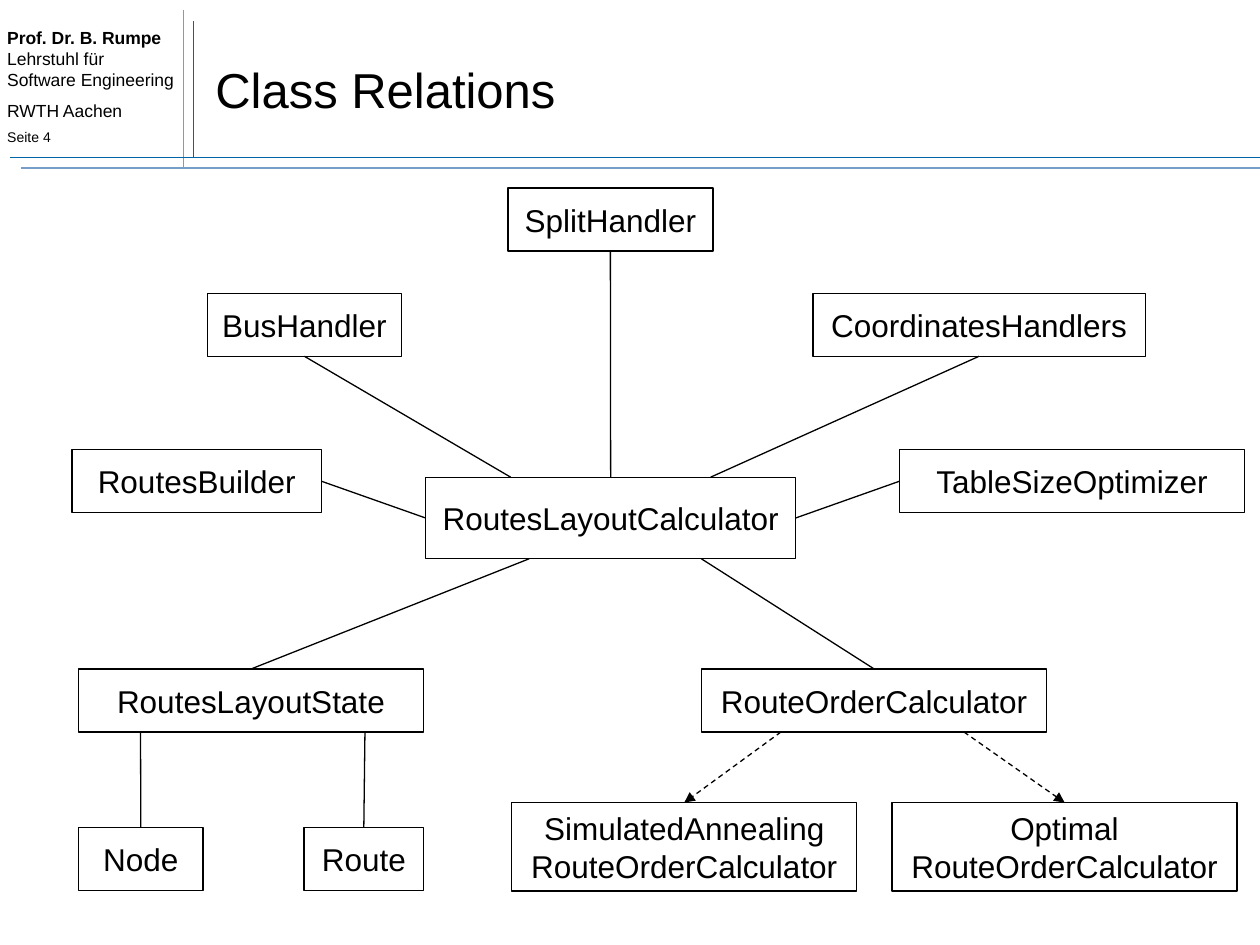
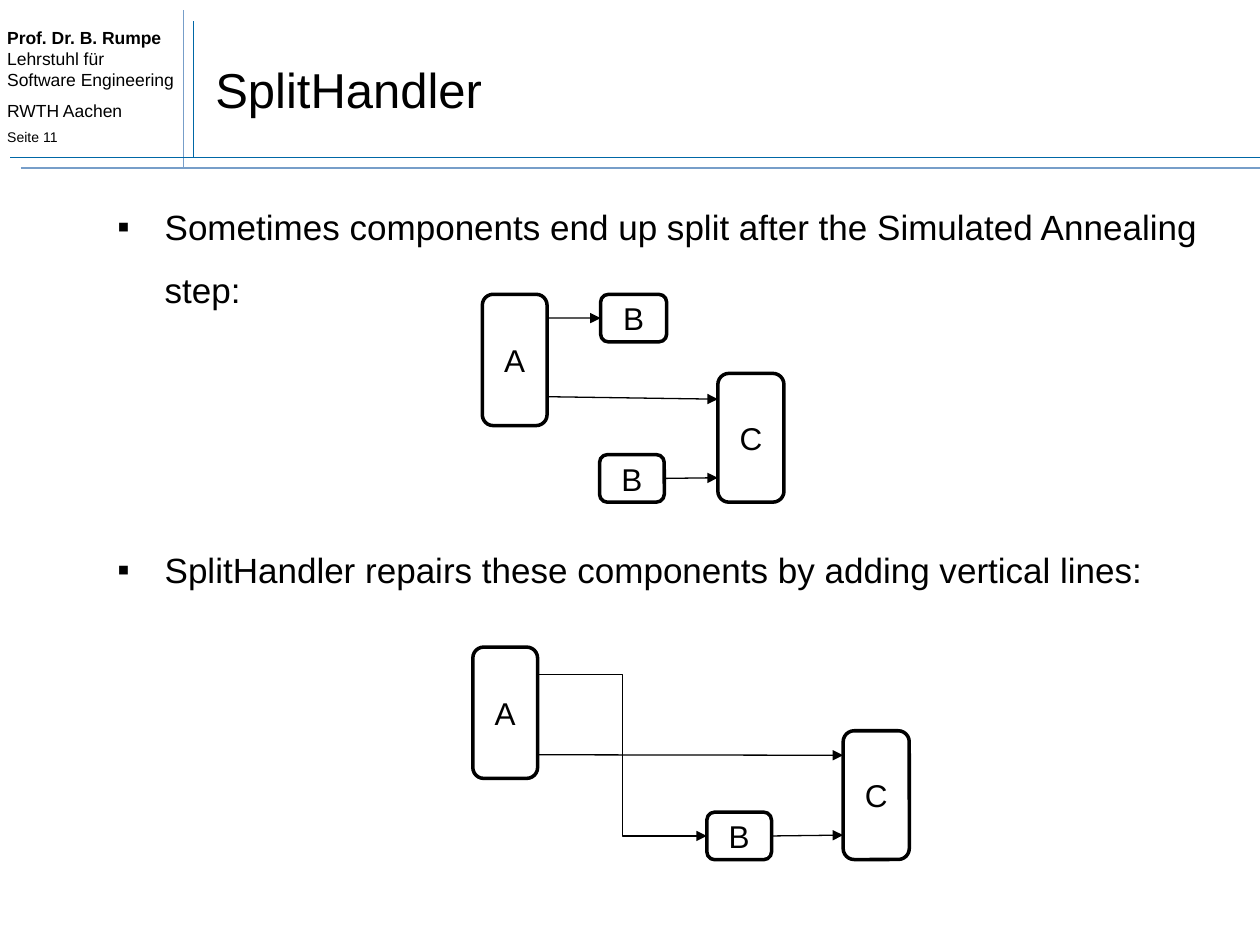
from dataclasses import dataclass

from lxml.etree import SubElement
from pptx import Presentation
from pptx.dml.color import RGBColor
from pptx.enum.dml import MSO_LINE as DASH
from pptx.enum.shapes import MSO_CONNECTOR as CONN, MSO_SHAPE as SHAPE
from pptx.enum.text import MSO_ANCHOR as ANCHOR, PP_ALIGN as ALIGN
from pptx.oxml.ns import qn
from pptx.util import Pt


@dataclass(frozen=True)
class Theme:
    font: str = "Arial"
    ink: str = "000000"
    paper: str = "FFFFFF"
    rule_dark: str = "0067A6"
    rule_light: str = "779EC9"
    title: int = 28
    body: int = 20
    label: int = 18
    sender: int = 10
    page: int = 8
    thin: float = 0.75
    rule: float = 1
    thick: float = 2


class Deck:
    def __init__(self, theme):
        self.t = theme
        self.prs = Presentation()
        self.prs.slide_width, self.prs.slide_height = Pt(720), Pt(540)
        self.s = None

    def slide(self, title, page):
        self.s = self.prs.slides.add_slide(self.prs.slide_layouts[6])
        self.sender(page)
        t = self.t
        for color, start, end in (
            (t.rule_dark, (110.6, 90), (110.6, 12)),
            (t.rule_light, (104.9, 96), (104.9, 6)),
            (t.rule_dark, (6, 90), (720, 90)),
            (t.rule_light, (12, 96), (720, 96)),
        ):
            self.line(start, end, color=color, width=t.rule)
        tf = self.text(116, 18, 595.5, 66, [title], t.title)
        tf.vertical_anchor = ANCHOR.MIDDLE

    def style(self, p, size):
        for r in p.runs:
            r.font.name, r.font.size = self.t.font, Pt(size)
            r.font.color.rgb = RGBColor.from_string(self.t.ink)

    def fill_text(self, tf, lines, size, align):
        tf.text = "\n".join(lines)
        for p in tf.paragraphs:
            p.alignment = align
            self.style(p, size)

    def text(self, x, y, w, h, lines, size):
        tf = self.s.shapes.add_textbox(Pt(x), Pt(y), Pt(w), Pt(h)).text_frame
        tf.word_wrap = True
        self.fill_text(tf, lines, size, ALIGN.LEFT)
        return tf

    def sender(self, page):
        lines = ["Prof. Dr. B. Rumpe\vLehrstuhl für Software Engineering",
                 "RWTH Aachen", f"Seite {page}"]
        tf = self.text(-3, 12, 110, 76, lines, self.t.sender)
        first, place, number = tf.paragraphs
        first.runs[0].font.bold = True
        place.space_before, number.space_before = Pt(5.5), Pt(4.5)
        self.style(number, self.t.page)

    def bullets(self, x, y, w, h, lines, gap):
        tf = self.text(x, y, w, h, lines, self.t.body)
        for i, p in enumerate(tf.paragraphs):
            p.line_spacing = 1.5
            p.space_before = Pt(gap if i else 0)
            pPr = p._p.get_or_add_pPr()
            pPr.set("marL", str(Pt(27)))
            pPr.set("indent", str(-Pt(27)))
            SubElement(pPr, qn("a:buFont"), typeface=self.t.font)
            SubElement(pPr, qn("a:buChar"), char="▪")

    def box(self, x, y, w, h, *lines, rounded=False):
        kind = SHAPE.ROUNDED_RECTANGLE if rounded else SHAPE.RECTANGLE
        sp = self.s.shapes.add_shape(kind, Pt(x), Pt(y), Pt(w), Pt(h))
        sp.shadow.inherit = False
        if rounded:
            sp.fill.solid()
            sp.fill.fore_color.rgb = RGBColor.from_string(self.t.paper)
        else:
            sp.fill.background()
        sp.line.color.rgb = RGBColor.from_string(self.t.ink)
        sp.line.width = Pt(self.t.thick if rounded else self.t.thin)
        tf = sp.text_frame
        tf.word_wrap = False
        tf.vertical_anchor = ANCHOR.MIDDLE
        self.fill_text(tf, lines, self.t.label, ALIGN.CENTER)
        return sp

    def line(self, start, end, color=None, width=None, arrow=False,
             dashed=False, bent=False):
        c = self.s.shapes.add_connector(CONN.ELBOW if bent else CONN.STRAIGHT,
                                        *(Pt(v) for v in (*start, *end)))
        c.line.color.rgb = RGBColor.from_string(color or self.t.ink)
        c.line.width = Pt(width or self.t.thin)
        if dashed:
            c.line.dash_style = DASH.DASH
        if arrow:
            SubElement(c.line._get_or_add_ln(), qn("a:tailEnd"), type="triangle")
        SubElement(c._element.spPr, qn("a:effectLst"))


def at(sp, fx, fy):
    return (sp.left + fx * sp.width) / Pt(1), (sp.top + fy * sp.height) / Pt(1)


def class_relations(d):
    d.slide("Class Relations", 4)
    wide, h = 197.3, 36
    side_y, handler_y, parent_y, leaf_y, variant_y = 257, 167.6, 382.3, 473, 458.6

    calculator = d.box(243.2, 272.7, 211.5, 46.6, "RoutesLayoutCalculator")
    builder = d.box(41.1, side_y, 142.6, h, "RoutesBuilder")
    optimizer = d.box(514, side_y, wide, h, "TableSizeOptimizer")
    bus = d.box(118.6, handler_y, 110.7, h, "BusHandler")
    coordinates = d.box(464.5, handler_y, 190, h, "CoordinatesHandlers")
    split = d.box(290.2, 107.4, 117.2, h, "SplitHandler")
    state = d.box(44.8, parent_y, wide, h, "RoutesLayoutState")
    order = d.box(400.9, parent_y, wide, h, "RouteOrderCalculator")
    node = d.box(44.8, leaf_y, 71.3, h, "Node")
    route = d.box(173.7, leaf_y, 68.4, h, "Route")
    annealing = d.box(292.4, variant_y, wide, 50.6,
                      "SimulatedAnnealing", "RouteOrderCalculator")
    optimal = d.box(509.7, variant_y, wide, 50.6,
                    "Optimal", "RouteOrderCalculator")

    top, bottom, left, right = (0.5, 0), (0.5, 1), (0, 0.5), (1, 0.5)
    for a, start, b, end in (
        (bus, bottom, calculator, (0.23, 0)),
        (builder, right, calculator, left),
        (split, bottom, calculator, top),
        (coordinates, bottom, calculator, (0.77, 0)),
        (calculator, right, optimizer, left),
        (state, top, calculator, (0.28, 1)),
        (calculator, (0.745, 1), order, top),
        (node, top, state, (0.18, 1)),
        (route, top, state, (0.83, 1)),
    ):
        d.line(at(a, *start), at(b, *end))
    for variant, fx in ((annealing, 0.23), (optimal, 0.76)):
        d.line(at(order, fx, 1), at(variant, *top), arrow=True, dashed=True)


def components(d, a_pos, b_pos, c_pos):
    a = d.box(*a_pos, 37, 75, "A", rounded=True)
    b = d.box(*b_pos, 37, 27.2, "B", rounded=True)
    c = d.box(*c_pos, 37.8, 73.6, "C", rounded=True)
    d.line(at(b, 1, 0.5), at(c, 0, 0.81), arrow=True)
    return a, b, c


def split_handler(d):
    d.slide("SplitHandler", 11)
    d.bullets(60, 102, 648, 426, [
        "Sometimes components end up split after the Simulated Annealing step:",
        "SplitHandler repairs these components by adding vertical lines:",
    ], gap=124)

    a, b, c = components(d, (275.6, 168.2), (342.6, 259.8), (410.2, 213.4))
    loose = d.box(343.2, 168.2, 37.8, 27.2, "B", rounded=True)
    d.line(at(a, 1, 0.18), at(loose, 0, 0.5), arrow=True)
    d.line(at(a, 1, 0.78), at(c, 0, 0.2), arrow=True)

    a, b, c = components(d, (270.2, 369.8), (403.9, 464.1), (481.8, 417.6))
    d.line(at(a, 1, 0.21), at(b, 0, 0.5), arrow=True, bent=True)
    d.line(at(a, 1, 0.82), at(c, 0, 0.19), arrow=True)


deck = Deck(Theme())
class_relations(deck)
split_handler(deck)
deck.prs.save("out.pptx")
